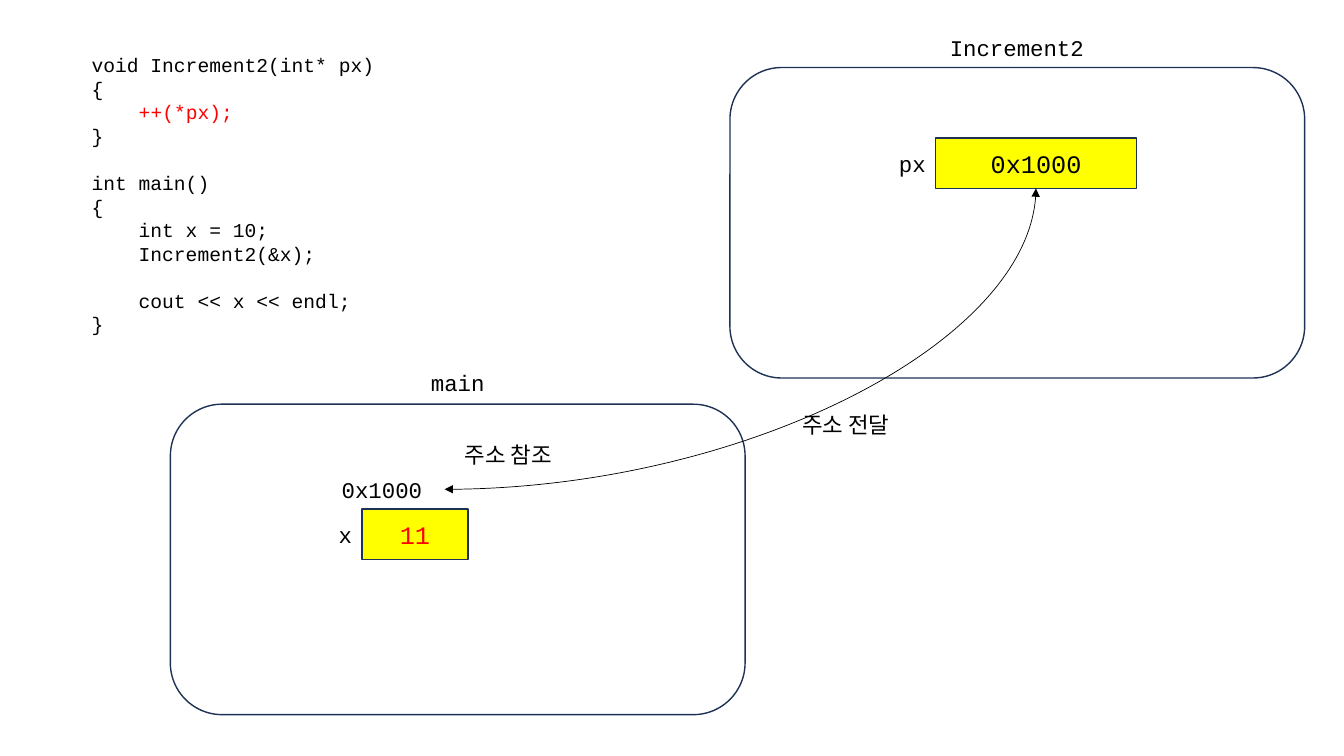
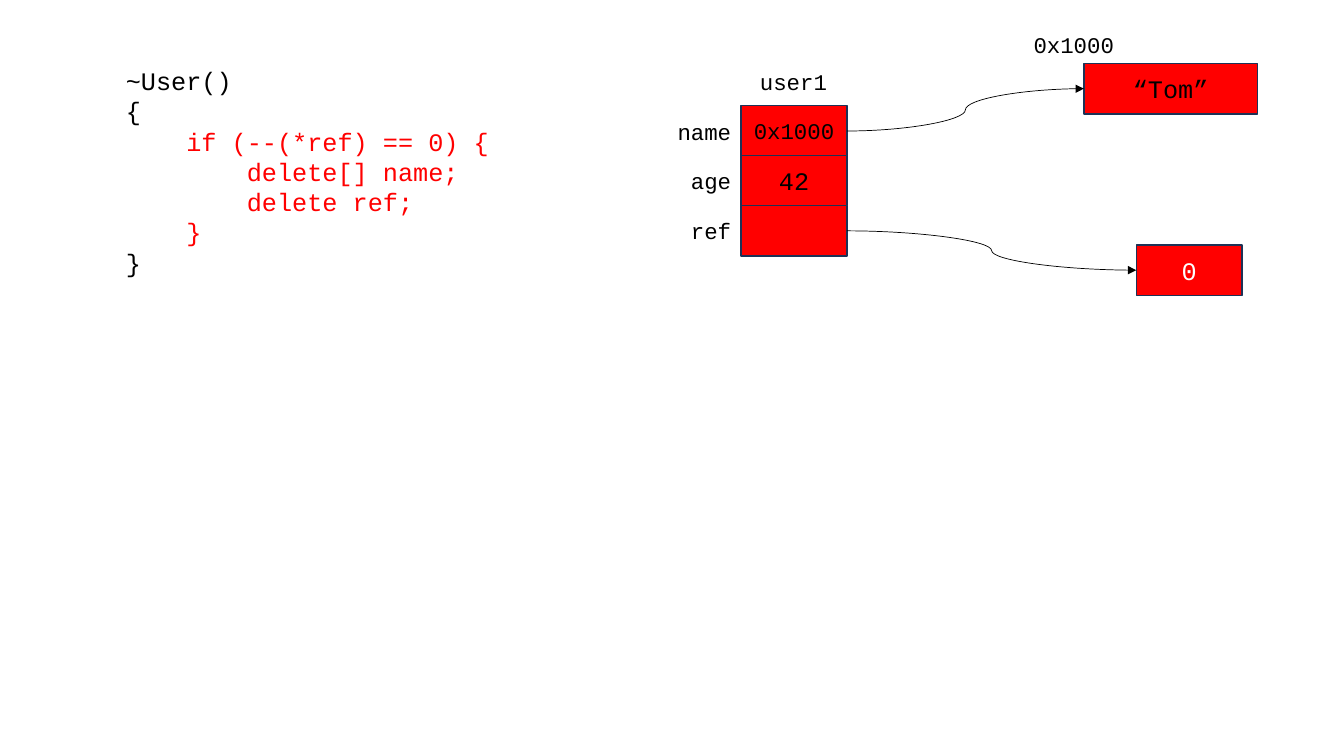
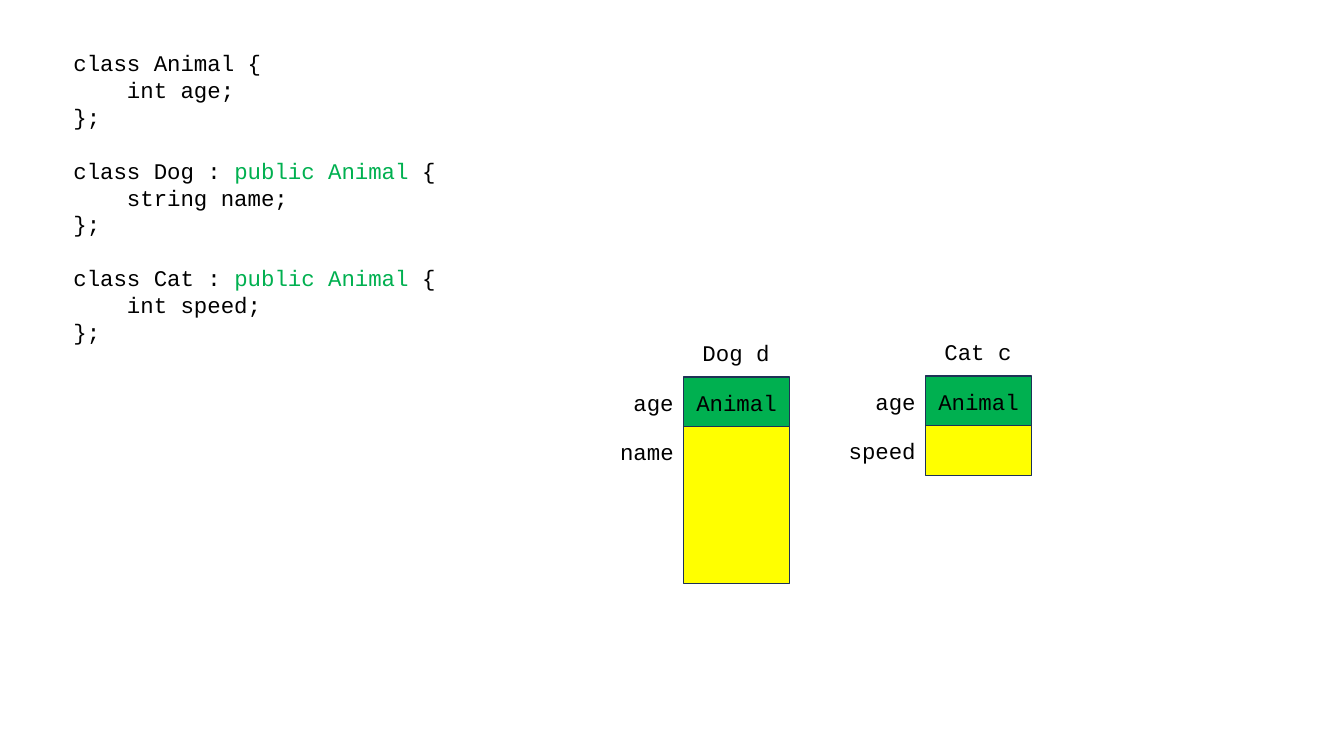
"""Draw memory diagrams for pointers, reference counting and inheritance."""
from dataclasses import dataclass
from typing import Optional

from lxml.etree import SubElement
from pptx import Presentation
from pptx.dml.color import RGBColor
from pptx.enum.shapes import MSO_CONNECTOR as Link, MSO_SHAPE as Preset
from pptx.enum.text import MSO_ANCHOR as Anchor, PP_ALIGN as Align
from pptx.oxml.ns import qn
from pptx.shapes.autoshape import Shape
from pptx.slide import Slide
from pptx.util import Emu, Pt

EMU_PER_PX = 9144


@dataclass(frozen=True)
class Theme:
    """Colours, fonts, type sizes and line widths."""
    white: str = "FFFFFF"
    black: str = "000000"
    red: str = "FF0000"
    green: str = "00B050"
    yellow: str = "FFFF00"
    navy: str = "1E3256"
    code_font: str = "Courier New"
    note_font: str = "Calibri"
    small: int = 14
    label: int = 16
    value: int = 18
    leading: float = 1.2
    outline: float = 1
    arrow: float = 0.5


THEME = Theme()
CELL_WIDTH, CELL_HEIGHT = 105, 50
LABEL_WIDTH, LABEL_HEIGHT = 104, 37
NAME_DROP, TITLE_RISE = 7, 42


@dataclass(frozen=True)
class Cell:
    """A filled memory cell and the value in it."""
    value: str
    fill: str
    size: int = THEME.value
    ink: str = THEME.black
    width: int = CELL_WIDTH
    height: int = CELL_HEIGHT


@dataclass(frozen=True)
class Field:
    """A named cell."""
    name: str
    cell: Cell


@dataclass(frozen=True)
class Record:
    """A titled column of named cells."""
    title: str
    left: int
    top: int
    fields: tuple[Field, ...]


@dataclass(frozen=True)
class Label:
    """A short line of text on the page."""
    text: str
    left: int
    top: int
    width: int = LABEL_WIDTH
    align: Optional[Align] = Align.CENTER
    font: str = THEME.code_font


@dataclass(frozen=True)
class Listing:
    """Source code in which bars enclose accented spans."""
    code: str
    left: int
    top: int
    width: int
    height: int
    size: int
    accent: str


def px(length: int) -> Emu:
    """Turn px into EMU."""
    return Emu(length * EMU_PER_PX)


def style_span(span, size: int, ink: str, font: str = THEME.code_font) -> None:
    """Set the type of one run."""
    span.font.name = font
    span.font.size = Pt(size)
    span.font.color.rgb = RGBColor.from_string(ink)


def write_line(box: Shape, text: str, size: int, ink: str,
               align: Optional[Align], font: str = THEME.code_font) -> None:
    """Fill a box with one paragraph."""
    frame = box.text_frame
    frame.word_wrap = True
    frame.text = text
    para = frame.paragraphs[0]
    para.alignment = align
    if font == THEME.code_font:
        para.line_spacing = Pt(size * THEME.leading)
    for span in para.runs:
        style_span(span, size, ink, font)


def draw_panel(page: Slide, preset: Preset, left: int, top: int,
               width: int, height: int, fill: str) -> Shape:
    """Draw an outlined preset shape."""
    panel = page.shapes.add_shape(preset, px(left), px(top), px(width), px(height))
    panel.shadow.inherit = False
    panel.fill.solid()
    panel.fill.fore_color.rgb = RGBColor.from_string(fill)
    panel.line.color.rgb = RGBColor.from_string(THEME.navy)
    panel.line.width = Pt(THEME.outline)
    return panel


def draw_label(page: Slide, label: Label) -> Shape:
    """Draw a label."""
    box = page.shapes.add_textbox(px(label.left), px(label.top),
                                  px(label.width), px(LABEL_HEIGHT))
    write_line(box, label.text, THEME.label, THEME.black, label.align, label.font)
    return box


def draw_cell(page: Slide, cell: Cell, left: int, top: int) -> Shape:
    """Draw a memory cell."""
    box = draw_panel(page, Preset.RECTANGLE, left, top, cell.width, cell.height, cell.fill)
    if cell.value:
        box.text_frame.vertical_anchor = Anchor.MIDDLE
        write_line(box, cell.value, cell.size, cell.ink, Align.CENTER)
    return box


def draw_field(page: Slide, field: Field, left: int, top: int) -> Shape:
    """Draw a cell with its name on the left."""
    box = draw_cell(page, field.cell, left, top)
    draw_label(page, Label(field.name, left - LABEL_WIDTH, top + NAME_DROP, align=Align.RIGHT))
    return box


def draw_record(page: Slide, record: Record) -> list[Shape]:
    """Draw a record and return its cells."""
    draw_label(page, Label(record.title, record.left, record.top - TITLE_RISE))
    return [draw_field(page, field, record.left, record.top + row * 99 // 2)
            for row, field in enumerate(record.fields)]


def draw_listing(page: Slide, listing: Listing) -> None:
    """Draw code, with a paragraph gap for each empty line."""
    box = page.shapes.add_textbox(px(listing.left), px(listing.top),
                                  px(listing.width), px(listing.height))
    frame = box.text_frame
    frame.word_wrap = True
    pitch = Pt(listing.size * THEME.leading)
    for block_index, block in enumerate(listing.code.split("\n\n")):
        for line_index, line in enumerate(block.split("\n")):
            first = block_index == line_index == 0
            para = frame.paragraphs[0] if first else frame.add_paragraph()
            para.line_spacing = pitch
            if block_index and not line_index:
                para.space_before = pitch
            for part_index, part in enumerate(line.split("|")):
                if part:
                    span = para.add_run()
                    span.text = part
                    ink = listing.accent if part_index % 2 else THEME.black
                    style_span(span, listing.size, ink)


def draw_arrow(page: Slide, start: Shape, start_site: int, end: Shape, end_site: int,
               preset: str = "curvedConnector3", both_ends: bool = False) -> None:
    """Join two shapes with a curved arrow."""
    arrow = page.shapes.add_connector(Link.CURVE, 0, 0, 0, 0)
    arrow.begin_connect(start, start_site)
    arrow.end_connect(end, end_site)
    arrow.line.color.rgb = RGBColor.from_string(THEME.black)
    arrow.line.width = Pt(THEME.arrow)
    properties = arrow._element.spPr
    properties.find(qn("a:prstGeom")).set("prst", preset)
    line = properties.find(qn("a:ln"))
    for tag in ("a:headEnd", "a:tailEnd") if both_ends else ("a:tailEnd",):
        SubElement(line, qn(tag)).set("type", "triangle")
    SubElement(properties, qn("a:effectLst"))


POINTER_CODE = """void Increment2(int* px)
{
    |++(*px);|
}

int main()
{
    int x = 10;
    Increment2(&x);

    cout << x << endl;
}"""

DESTRUCTOR_CODE = """~User()
{
    |if (--(*ref) == 0) {|
|        delete[] name;|
|        delete ref;|
|    }|
}"""

INHERITANCE_CODE = """class Animal {
    int age;
};

class Dog : |public Animal |{
    string name;
};

class Cat : |public Animal |{
    int speed;
};"""


def draw_pointer_page(page: Slide) -> None:
    """Show an address passed to a function."""
    for left, top in ((169, 401), (724, 67)):
        draw_panel(page, Preset.ROUNDED_RECTANGLE, left, top, 570, 308, THEME.white)
    draw_listing(page, Listing(POINTER_CODE, 81, 48, 667, 293, THEME.small, THEME.red))
    draw_field(page, Field("x", Cell("11", THEME.yellow, ink=THEME.red)), 359, 505)
    pointer = draw_field(page, Field("px", Cell("0x1000", THEME.yellow, width=199)), 928, 137)
    address = draw_label(page, Label("0x1000", 329, 467, 112, None))
    draw_arrow(page, address, 3, pointer, 2, "curvedConnector2", both_ends=True)
    for label in (Label("main", 398, 361, 112),
                  Label("Increment2", 909, 29, 199),
                  Label("주소 전달", 783, 403, 112, font=THEME.note_font),
                  Label("주소 참조", 363, 433, 282, font=THEME.note_font)):
        draw_label(page, label)


def draw_destructor_page(page: Slide) -> None:
    """Show a reference count that reaches zero."""
    draw_listing(page, Listing(DESTRUCTOR_CODE, 115, 60, 460, 222, THEME.value, THEME.red))
    name, _, ref = draw_record(page, Record("user1", 735, 105, (
        Field("name", Cell("0x1000", THEME.red, THEME.label)),
        Field("age", Cell("42", THEME.red)),
        Field("ref", Cell("", THEME.red)))))
    text = draw_cell(page, Cell("“Tom”", THEME.red, width=172), 1075, 63)
    draw_label(page, Label("0x1000", 1013, 26))
    count = draw_cell(page, Cell("0", THEME.red, ink=THEME.white), 1127, 243)
    for start, end in ((name, text), (ref, count)):
        draw_arrow(page, start, 3, end, 1)


def draw_inheritance_page(page: Slide) -> None:
    """Show the base class part in derived objects."""
    draw_listing(page, Listing(INHERITANCE_CODE, 63, 44, 667, 306, THEME.label, THEME.green))
    base = Field("age", Cell("Animal", THEME.green, THEME.label))
    for record in (
            Record("Dog d", 678, 374, (base, Field("name", Cell("", THEME.yellow, height=156)))),
            Record("Cat c", 918, 373, (base, Field("speed", Cell("", THEME.yellow))))):
        draw_record(page, record)


def main() -> None:
    """Build and save the deck."""
    deck = Presentation()
    deck.slide_width, deck.slide_height = px(1333), px(750)
    for draw_page in (draw_pointer_page, draw_destructor_page, draw_inheritance_page):
        draw_page(deck.slides.add_slide(deck.slide_layouts[6]))
    deck.save("out.pptx")


if __name__ == "__main__":
    main()
